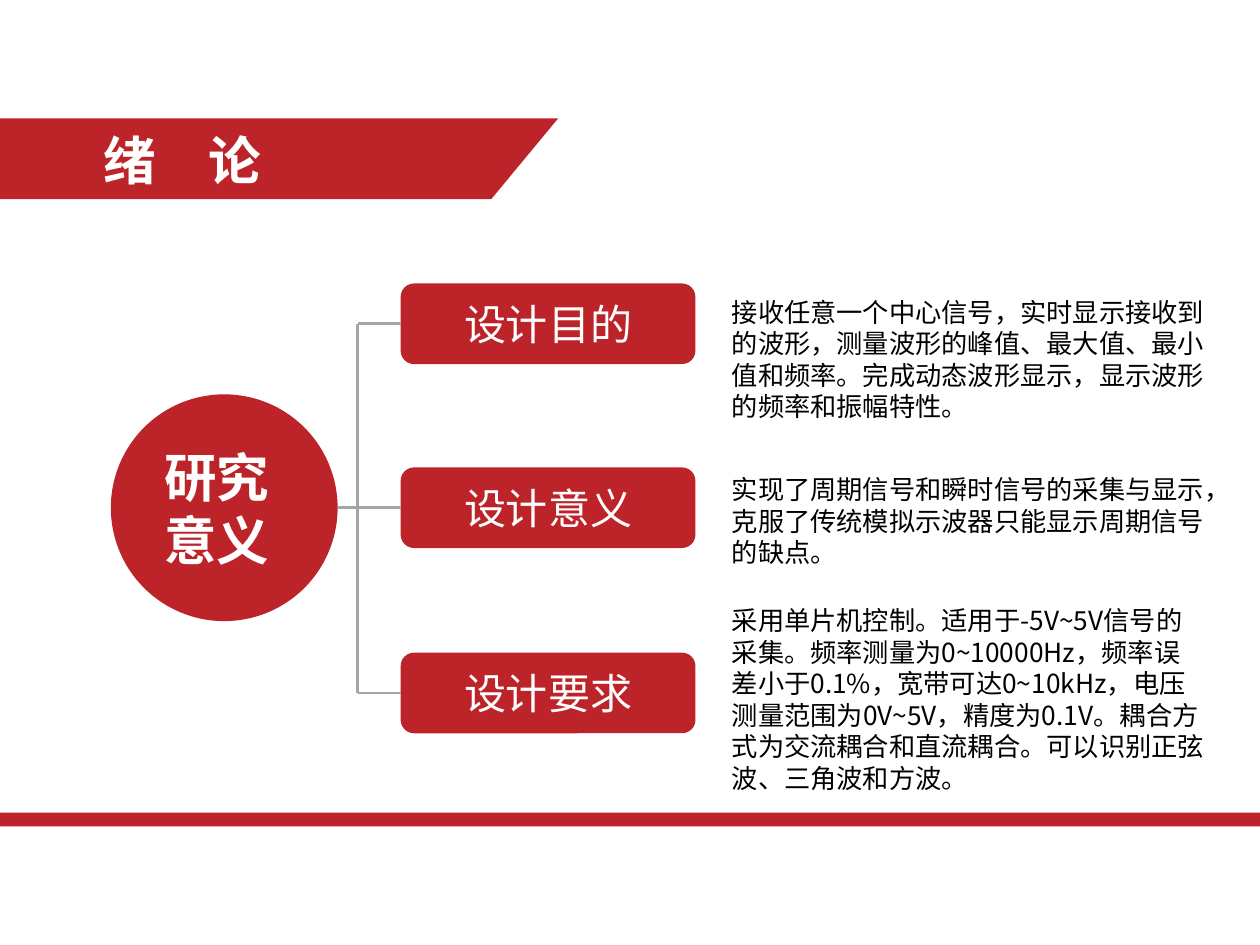
import pptx
import pptx.dml.color
import pptx.enum.shapes
import pptx.enum.text
import pptx.oxml
import pptx.oxml.ns
import pptx.util
from pptx.util import Inches

SHAPE = pptx.enum.shapes.MSO_SHAPE
ALIGN = pptx.enum.text.PP_ALIGN
ANCHOR = pptx.enum.text.MSO_ANCHOR

RED, WHITE, BLACK, GREY = "BC242A", "FFFFFF", "000000", "A5A5A5"
LEFT_SIDE = 1

TOPICS = [
    # heading, heading top, description, description top, description height
    ("设计目的", 2.25,
     "接收任意一个中心信号，实时显示接收到的波形，测量波形的峰值、最大值、最小值和频率。"
     "完成动态波形显示，显示波形的频率和振幅特性。", 2.3, 1.61),
    ("设计意义", 3.71,
     "实现了周期信号和瞬时信号的采集与显示，克服了传统模拟示波器只能显示周期信号的缺点。",
     3.71, 1.11),
    ("设计要求", 5.18,
     "采用单片机控制。适用于-5V~5V信号的采集。频率测量为0~10000Hz，频率误差小于0.1%，"
     "宽带可达0~10kHz，电压测量范围为0V~5V，精度为0.1V。耦合方式为交流耦合和直流耦合。"
     "可以识别正弦波、三角波和方波。", 4.75, 1.87),
]


def rgb(value):
    return pptx.dml.color.RGBColor.from_string(value)


class Deck:
    font = "Noto Sans CJK SC"
    line_spacing = 1.2

    def __init__(self, width, height):
        self.presentation = pptx.Presentation()
        self.presentation.slide_width = Inches(width)
        self.presentation.slide_height = Inches(height)
        self.slide = self.presentation.slides.add_slide(
            self.presentation.slide_layouts[6])

    def paint(self, shape, color):
        shape.shadow.inherit = False
        shape.fill.solid()
        shape.fill.fore_color.rgb = rgb(color)
        shape.line.fill.background()
        return shape

    def block(self, kind, box, color=RED):
        shape = self.slide.shapes.add_shape(kind, *map(Inches, box))
        return self.paint(shape, color)

    def outline(self, points, color=RED):
        corners = [(Inches(x), Inches(y)) for x, y in points]
        builder = self.slide.shapes.build_freeform(*corners[0])
        builder.add_line_segments(corners[1:], close=True)
        return self.paint(builder.convert_to_shape(), color)

    def label(self, shape, lines, size, color, bold=False,
              align=ALIGN.CENTER, **frame_format):
        """Fill a shape with one paragraph per line of text."""
        frame = shape.text_frame
        for name, value in frame_format.items():
            setattr(frame, name, value)
        frame.text = "\n".join(lines)
        for paragraph in frame.paragraphs:
            paragraph.alignment = align
            paragraph.line_spacing = pptx.util.Pt(size * self.line_spacing)
            run = paragraph.runs[0]
            style = {"name": self.font, "size": pptx.util.Pt(size), "bold": bold}
            for name, value in style.items():
                setattr(run.font, name, value)
            run.font.color.rgb = rgb(color)
            east_asian = pptx.oxml.parse_xml(
                f'<a:ea {pptx.oxml.ns.nsdecls("a")} typeface="{self.font}"/>')
            run.font._element.find(
                pptx.oxml.ns.qn("a:latin")).addnext(east_asian)

    def text(self, box, lines, size, color, **text_format):
        text_box = self.slide.shapes.add_textbox(*map(Inches, box))
        self.label(text_box, lines, size, color, align=ALIGN.LEFT, **text_format)

    def line(self, start, end, target=None):
        """Draw a grey line, joined to the left side of target if given."""
        connector = self.slide.shapes.add_connector(
            pptx.enum.shapes.MSO_CONNECTOR.STRAIGHT,
            *map(Inches, (*start, *end)))
        if target is not None:
            connector.end_connect(target, LEFT_SIDE)
        connector.line.color.rgb = rgb(GREY)
        connector.line.width = pptx.util.Pt(1.5)
        connector._element.spPr.append(pptx.oxml.parse_xml(
            f'<a:effectLst {pptx.oxml.ns.nsdecls("a")}/>'))


def main():
    deck = Deck(10, 7.5)
    deck.outline([(0, 0.94), (4.43, 0.94), (3.9, 1.58), (0, 1.58)])
    deck.block(SHAPE.RECTANGLE, (0, 6.45, 10, 0.11))
    deck.text((0.72, 0.97, 1.53, 0.6), ["绪　论"], 30, WHITE,
              bold=True, word_wrap=False)

    theme = deck.block(SHAPE.OVAL, (0.88, 3.13, 1.8, 1.8))
    deck.label(theme, ["研究", "意义"], 30, WHITE, bold=True,
               word_wrap=False, vertical_anchor=ANCHOR.MIDDLE,
               margin_left=0, margin_right=Inches(0.12))

    heading_left, heading_width, heading_height = 3.18, 2.34, 0.64
    trunk, theme_right = 2.84, 2.68
    centers = [top + heading_height / 2 for _, top, *_ in TOPICS]
    deck.line((trunk, centers[0]), (trunk, centers[-1]))

    branch_starts = [trunk, theme_right, trunk]
    for topic, center, start in zip(TOPICS, centers, branch_starts):
        title, top, description, text_top, text_height = topic
        heading = deck.block(SHAPE.ROUNDED_RECTANGLE,
                             (heading_left, top, heading_width, heading_height))
        deck.label(heading, [title], 24, WHITE, word_wrap=False,
                   vertical_anchor=ANCHOR.MIDDLE)
        deck.line((start, center), (heading_left, center), heading)
        deck.text((5.71, text_top, 3.96, text_height), [description], 15,
                  BLACK, word_wrap=True)

    deck.presentation.save("out.pptx")


if __name__ == "__main__":
    main()
